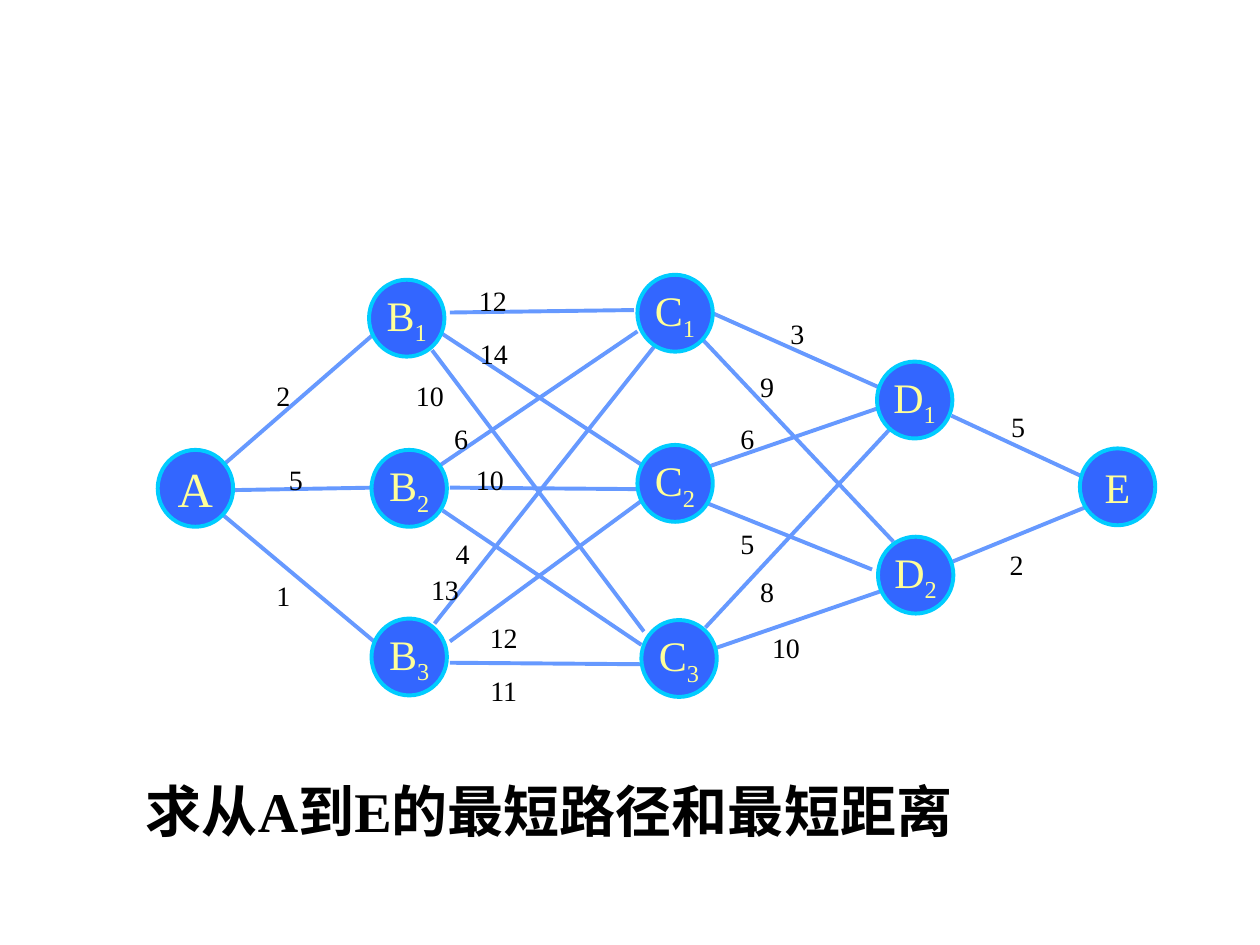
import pptx
import pptx.dml.color
import pptx.enum.shapes
import pptx.enum.text
import pptx.oxml.ns
import pptx.util
from lxml import etree

Cm, Pt = pptx.util.Cm, pptx.util.Pt
RGBColor = pptx.dml.color.RGBColor
PP_ALIGN = pptx.enum.text.PP_ALIGN
MIDDLE = pptx.enum.text.MSO_ANCHOR.MIDDLE

ROAD_BLUE = RGBColor(0x66, 0x99, 0xFF)
CITY_BLUE = RGBColor(0x33, 0x66, 0xFF)
RIM_CYAN = RGBColor(0x00, 0xCC, 0xFF)
PALE_YELLOW = RGBColor(0xFF, 0xFF, 0x99)
BLACK = RGBColor(0, 0, 0)
FONT = "Times New Roman"

QUESTION = "求从A到E的最短路径和最短距离"

# Letter, subscript, left, top (cm), letter size (pt)
CITY_SIZE = (1.52, 1.55)
CITIES = [
    ("A", "", 3.18, 9.07, 28),
    ("B", "1", 7.44, 5.64, 24),
    ("B", "2", 7.49, 9.07, 24),
    ("B", "3", 7.49, 12.47, 24),
    ("C", "1", 12.85, 5.54, 24),
    ("C", "2", 12.85, 8.97, 24),
    ("C", "3", 12.93, 12.5, 24),
    ("D", "1", 17.68, 7.29, 24),
    ("D", "2", 17.7, 10.82, 24),
    ("E", "", 21.77, 9.04, 24),
]

# Road, distance, start, end, left top of the distance (cm)
DISTANCE_SIZE = (0.81, 0.84)
ROADS = [
    ("A-B1", 2, (4.47, 9.4), (7.54, 6.73), (5.31, 7.54)),
    ("A-B2", 5, (4.7, 9.88), (7.54, 9.83), (5.56, 9.25)),
    ("A-B3", 1, (4.47, 10.36), (7.54, 12.93), (5.31, 11.58)),
    ("B1-C1", 12, (9.07, 6.3), (12.78, 6.25), (9.53, 5.64)),
    ("B1-C2", 14, (8.84, 6.68), (12.98, 9.4), (9.55, 6.71)),
    ("B1-C3", 10, (8.71, 7.06), (12.98, 12.73), (8.26, 7.54)),
    ("B2-C1", 6, (8.84, 9.4), (12.85, 6.68), (8.89, 8.41)),
    ("B2-C2", 10, (9.07, 9.83), (12.85, 9.86), (9.47, 9.25)),
    ("B2-C3", 4, (8.92, 10.29), (12.93, 13), (8.92, 10.74)),
    ("B3-C1", 13, (8.76, 12.57), (13.21, 6.96), (8.69, 11.46)),
    ("B3-C2", 12, (9.07, 12.93), (12.98, 10.06), (9.75, 12.42)),
    ("B3-C3", 11, (9.07, 13.36), (12.93, 13.39), (9.75, 13.49)),
    ("C1-D1", 3, (14.38, 6.32), (17.7, 7.8), (15.67, 6.3)),
    ("C1-D2", 9, (14.15, 6.83), (18.01, 10.92), (15.06, 7.37)),
    ("C2-D1", 6, (14.3, 9.4), (17.7, 8.23), (14.66, 8.41)),
    ("C2-D2", 5, (14.22, 10.13), (17.58, 11.48), (14.66, 10.54)),
    ("C3-D1", 8, (14.22, 12.65), (17.93, 8.66), (15.06, 11.51)),
    ("C3-D2", 10, (14.38, 13.08), (17.78, 11.91), (15.44, 12.62)),
    ("D1-E", 5, (19.18, 8.38), (21.87, 9.63), (20.12, 8.18)),
    ("D2-E", 2, (19.18, 11.33), (21.92, 10.21), (20.09, 10.95)),
]
LEFT_SET_ROADS = {"B3-C1"}


def lengths(*values):
    return [Cm(value) for value in values]


def add_run(paragraph, text, size, color, bold=False):
    run = paragraph.add_run()
    run.text = text
    run.font.name = FONT
    run.font.size = Pt(size)
    run.font.bold = bold
    run.font.color.rgb = color
    return run


def tight_paragraph(shape, alignment):
    """Clear the margins, centre vertically and return the first paragraph."""
    frame = shape.text_frame
    frame.margin_left = frame.margin_right = 0
    frame.margin_top = frame.margin_bottom = 0
    frame.vertical_anchor = MIDDLE
    frame.word_wrap = True
    frame.paragraphs[0].alignment = alignment
    return frame.paragraphs[0]


def add_road(network, start, end):
    road = network.shapes.add_connector(
        pptx.enum.shapes.MSO_CONNECTOR.STRAIGHT, *lengths(*start, *end))
    road.line.color.rgb = ROAD_BLUE
    road.line.width = Pt(2.25)
    etree.SubElement(road._element.spPr, pptx.oxml.ns.qn("a:effectLst"))


def add_distance(network, distance, place, alignment):
    label = network.shapes.add_textbox(*lengths(*place, *DISTANCE_SIZE))
    add_run(tight_paragraph(label, alignment), str(distance), 16, BLACK)


def add_city(network, letter, subscript, left, top, size):
    city = network.shapes.add_shape(
        pptx.enum.shapes.MSO_SHAPE.OVAL, *lengths(left, top, *CITY_SIZE))
    city.shadow.inherit = False
    city.fill.solid()
    city.fill.fore_color.rgb = CITY_BLUE
    city.line.color.rgb = RIM_CYAN
    city.line.width = Pt(2.25)
    paragraph = tight_paragraph(city, PP_ALIGN.CENTER)
    add_run(paragraph, letter, size, PALE_YELLOW)
    if subscript:
        index = add_run(paragraph, subscript, size, PALE_YELLOW)
        index._r.get_or_add_rPr().set("baseline", "-25000")


def main():
    deck = pptx.Presentation()
    deck.slide_width, deck.slide_height = lengths(25.4, 19.05)
    slide = deck.slides.add_slide(deck.slide_layouts[6])

    network = slide.shapes.add_group_shape()
    for _, _, start, end, _ in ROADS:
        add_road(network, start, end)
    for road, distance, _, _, place in ROADS:
        alignment = PP_ALIGN.LEFT if road in LEFT_SET_ROADS else PP_ALIGN.CENTER
        add_distance(network, distance, place, alignment)
    for city in CITIES:
        add_city(network, *city)

    question = slide.shapes.add_textbox(*lengths(2.69, 15.52, 19.69, 1.63))
    question.text_frame.word_wrap = True
    add_run(question.text_frame.paragraphs[0], QUESTION, 32, BLACK, bold=True)

    deck.save("out.pptx")


if __name__ == "__main__":
    main()
